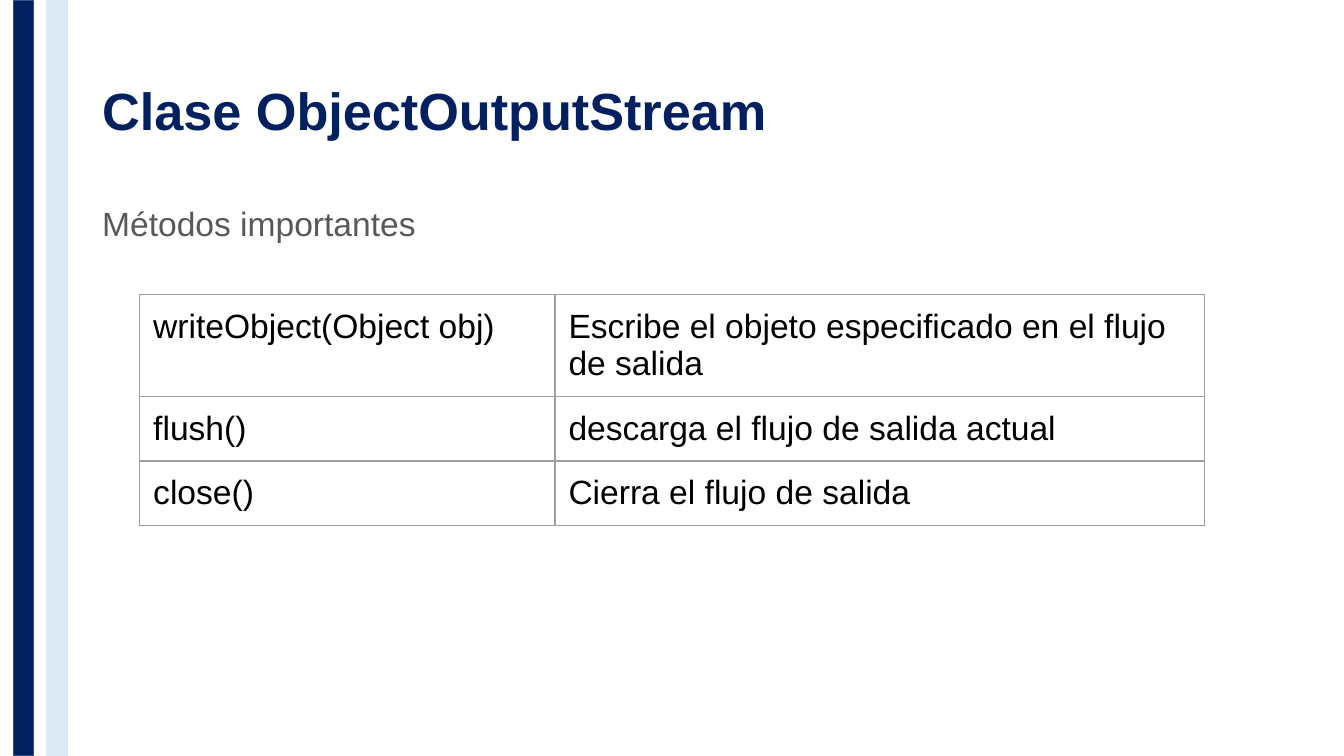
"""Builds the slide on the ObjectOutputStream class and its main methods."""
from lxml import etree
from pptx import Presentation
from pptx import util as u
from pptx.dml.color import RGBColor
from pptx.enum import shapes, text
from pptx.oxml import ns


def color(value):
    return RGBColor.from_string(value)


def write(frame, content, size, ink, bold=False):
    frame.text = content
    font = frame.paragraphs[0].runs[0].font
    font.name, font.size, font.bold = "Arial", u.Pt(size), bold
    font.color.rgb = color(ink)


deck = Presentation()
deck.slide_width = u.Inches(10)
deck.slide_height = deck.slide_width * 9 // 16
slide = deck.slides.add_slide(deck.slide_layouts[1])
title, subtitle = slide.placeholders

for left, fill, line in ((0.35, "DDEAF6", "DDEAF6"), (0.1, "002060", "31538F")):
    stripe = slide.shapes.add_shape(
        shapes.MSO_SHAPE.RECTANGLE, u.Inches(left), 0, u.Inches(0.15), deck.slide_height)
    stripe.shadow.inherit = False
    stripe.fill.solid()
    stripe.fill.fore_color.rgb = color(fill)
    stripe.line.color.rgb = color(line)
    stripe.line.width = u.Pt(1)
    slide.shapes._spTree.insert(2, stripe._element)

headings = (
    (title, "Clase ObjectOutputStream", 0.3, 1.09, 28, "002060", True, text.MSO_ANCHOR.MIDDLE, 0),
    (subtitle, "Métodos importantes", 1.5, 3.57, 18, "595959", False, text.MSO_ANCHOR.TOP, 8),
)
for heading, content, top, height, size, ink, bold, anchor, before in headings:
    heading.left, heading.top = u.Inches(0.69), u.Inches(top)
    heading.width, heading.height = u.Inches(8.62), u.Inches(height)
    frame = heading.text_frame
    write(frame, content, size, ink, bold)
    frame.auto_size = text.MSO_AUTO_SIZE.NONE
    frame.vertical_anchor = anchor
    frame.margin_left = frame.margin_right = u.Inches(0.07)
    frame.margin_top = frame.margin_bottom = u.Inches(0.04)
    paragraph = frame.paragraphs[0]
    paragraph.alignment = text.PP_ALIGN.LEFT
    paragraph.line_spacing = 0.9
    paragraph.space_before = u.Pt(before)
    properties = paragraph._p.get_or_add_pPr()
    properties.set("marL", "0")
    properties.set("indent", "0")
    etree.SubElement(properties, ns.qn("a:buNone"))

methods = (
    ("writeObject(Object obj)", "Escribe el objeto especificado en el flujo de salida"),
    ("flush()", "descarga el flujo de salida actual"),
    ("close()", "Cierra el flujo de salida"),
)
row_height = u.Inches(0.42)
table = slide.shapes.add_table(
    len(methods), 2, u.Inches(1.04), u.Inches(2.19), u.Inches(7.92),
    row_height * len(methods)).table
table.first_row = table.horz_banding = False
for column, width in zip(table.columns, (3.09, 4.83)):
    column.width = u.Inches(width)

for row, method in zip(table.rows, methods):
    row.height = row_height
    for cell, content in zip(row.cells, method):
        write(cell.text_frame, content, 18, "000000")
        cell.margin_left = cell.margin_right = u.Inches(0.1)
        cell.margin_top = cell.margin_bottom = u.Inches(0.1)
        for side in ("a:lnL", "a:lnR", "a:lnT", "a:lnB"):
            border = etree.SubElement(
                cell._tc.get_or_add_tcPr(), ns.qn(side), w=str(u.Pt(0.75)))
            border_fill = etree.SubElement(border, ns.qn("a:solidFill"))
            etree.SubElement(border_fill, ns.qn("a:srgbClr"), val="9E9E9E")
        cell.fill.background()

deck.save("out.pptx")
